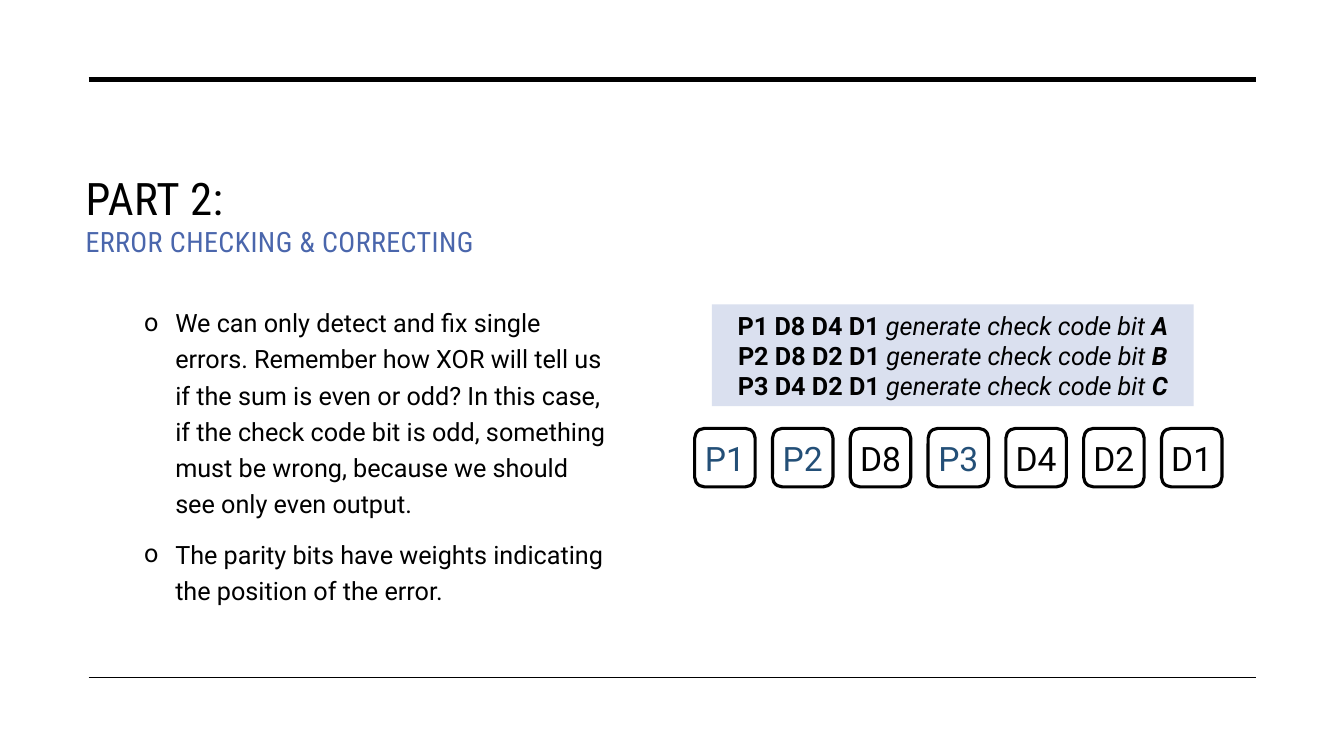
from dataclasses import dataclass

from lxml import etree
from pptx import Presentation
from pptx.dml.color import RGBColor
from pptx.enum.shapes import MSO_CONNECTOR, MSO_SHAPE
from pptx.enum.text import MSO_ANCHOR, PP_ALIGN
from pptx.oxml.ns import qn
from pptx.util import Inches, Pt

LINE = MSO_CONNECTOR.STRAIGHT
RECT = MSO_SHAPE.RECTANGLE
ROUNDED = MSO_SHAPE.ROUNDED_RECTANGLE
TOP, MIDDLE, BOTTOM = MSO_ANCHOR.TOP, MSO_ANCHOR.MIDDLE, MSO_ANCHOR.BOTTOM
CENTER = PP_ALIGN.CENTER


@dataclass(frozen=True)
class Theme:
    ink: RGBColor = RGBColor(0x00, 0x00, 0x00)
    accent: RGBColor = RGBColor(0x4A, 0x66, 0xAC)
    parity: RGBColor = RGBColor(0x23, 0x4F, 0x77)
    panel: RGBColor = RGBColor(0xDA, 0xE0, 0xEF)
    heading_font: str = "Roboto Condensed"
    body_font: str = "Roboto"
    title_size: int = 32
    subtitle_size: int = 20
    body_size: int = 18
    bit_size: int = 24


THEME = Theme()

BULLETS = [
    "We can only detect and fix single errors. Remember how XOR will tell us "
    "if the sum is even or odd? In this case, if the check code bit is odd, "
    "something must be wrong, because we should see only even output.",
    "The parity bits have weights indicating the position of the error.",
]
CHECKS = [("P1 D8 D4 D1 ", "A"), ("P2 D8 D2 D1 ", "B"), ("P3 D4 D2 D1 ", "C")]
BITS = ["P1", "P2", "D8", "P3", "D4", "D2", "D1"]


def add_run(p, text, size, color=THEME.ink, font=THEME.body_font, bold=False, italic=False):
    r = p.add_run()
    r.text = text
    r.font.size = Pt(size)
    r.font.name = font
    r.font.color.rgb = color
    r.font.bold = bold
    r.font.italic = italic
    return r


def add_textbox(slide, box, anchor):
    tf = slide.shapes.add_textbox(*map(Inches, box)).text_frame
    tf.word_wrap = True
    tf.vertical_anchor = anchor
    return tf


def add_block(slide, kind, box):
    sp = slide.shapes.add_shape(kind, *map(Inches, box))
    sp.shadow.inherit = False
    sp.text_frame.vertical_anchor = MIDDLE
    return sp


def paragraphs(tf, items):
    for i, item in enumerate(items):
        yield tf.add_paragraph() if i else tf.paragraphs[0], item


def add_rule(slide, left, top, width, weight):
    ends = (left, top, left + width, top)
    line = slide.shapes.add_connector(LINE, *map(Inches, ends))
    line.line.color.rgb = THEME.ink
    line.line.width = Pt(weight)
    etree.SubElement(line._element.spPr, qn("a:effectLst"))


def add_title(slide, box):
    p = add_textbox(slide, box, BOTTOM).paragraphs[0]
    title = add_run(p, "PART 2:", THEME.title_size, font=THEME.heading_font)
    p.add_line_break()
    subtitle = add_run(p, "ERROR CHECKING & CORRECTING", THEME.subtitle_size,
                       THEME.accent, THEME.heading_font)
    for r in (title, subtitle):
        r.font._element.set("spc", "30")


def add_bullets(slide, box):
    tf = add_textbox(slide, box, TOP)
    indent = Inches(0.31)
    for p, text in paragraphs(tf, BULLETS):
        p.line_spacing = 1.2
        p.space_before = Pt(10)
        pPr = p._p.get_or_add_pPr()
        pPr.set("marL", str(indent))
        pPr.set("indent", str(-indent))
        etree.SubElement(pPr, qn("a:buFont"), typeface=THEME.body_font)
        etree.SubElement(pPr, qn("a:buChar"), char="o")
        add_run(p, text, THEME.body_size)


def add_check_panel(slide, box):
    sp = add_block(slide, RECT, box)
    sp.fill.solid()
    sp.fill.fore_color.rgb = THEME.panel
    sp.line.fill.background()
    for p, (inputs, check) in paragraphs(sp.text_frame, CHECKS):
        p.alignment = CENTER
        add_run(p, inputs, THEME.body_size, bold=True)
        add_run(p, "generate check code bit ", THEME.body_size, italic=True)
        add_run(p, check, THEME.body_size, bold=True, italic=True)


def add_bit_row(slide, box):
    left, top, width, height = box
    cell = 0.6
    pitch = (width - cell) / (len(BITS) - 1)
    for i, bit in enumerate(BITS):
        sp = add_block(slide, ROUNDED, (left + i * pitch, top, cell, height))
        sp.fill.background()
        sp.line.color.rgb = THEME.ink
        sp.line.width = Pt(2.25)
        tf = sp.text_frame
        tf.word_wrap = False
        tf.margin_left = tf.margin_right = tf.margin_top = tf.margin_bottom = 0
        p = tf.paragraphs[0]
        p.alignment = CENTER
        color = THEME.parity if bit.startswith("P") else THEME.ink
        add_run(p, bit, THEME.bit_size, color)


def main():
    prs = Presentation()
    prs.slide_width, prs.slide_height = Inches(13.33), Inches(7.5)
    slide = prs.slides.add_slide(prs.slide_layouts[6])
    add_rule(slide, 0.88, 0.79, 11.58, 3.5)
    add_rule(slide, 0.88, 6.72, 11.58, 1)
    add_title(slide, (0.75, 1.3, 5.37, 1.31))
    add_bullets(slide, (1.33, 2.94, 4.78, 3.26))
    add_check_panel(slide, (7.06, 3.02, 4.78, 1.01))
    add_bit_row(slide, (6.89, 4.25, 5.23, 0.58))
    prs.save("out.pptx")


if __name__ == "__main__":
    main()
